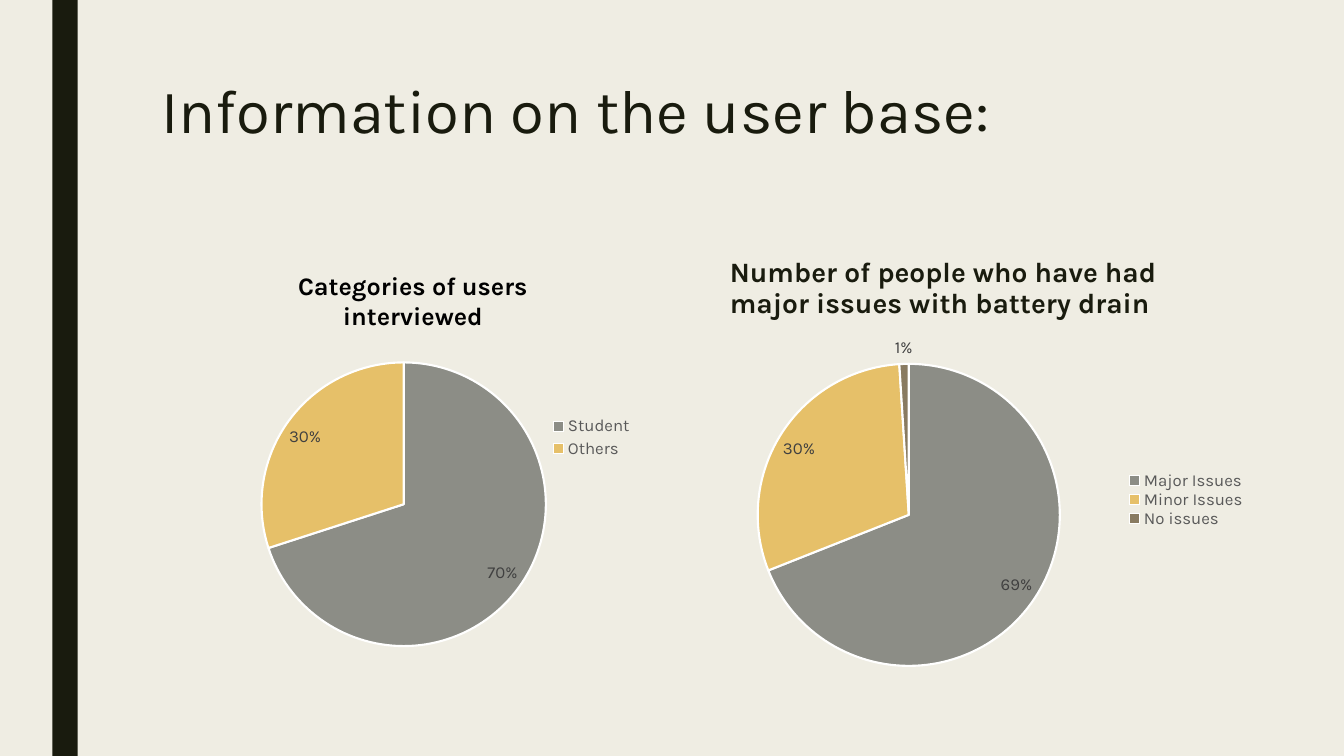
"""Build a slide with two pie charts about the interviewed users."""
from pptx import Presentation
from pptx import util as u
from pptx.chart import data
from pptx.dml import color
from pptx.enum import chart as ec, shapes, text
from pptx.oxml import ns, parse_xml

FONT, DARK, GREY = "Karla", "191B0E", "595959"
SLICES = ["8C8D86", "E6C069", "897B61"]


def rgb(code):
    return color.RGBColor.from_string(code)


def style(font, size, code, bold=False):
    font.name, font.size, font.bold = FONT, u.Pt(size), bold
    font.color.rgb = rgb(code)


def place(area, box, inner=False):
    for old in area.findall(ns.qn("c:layout")):
        area.remove(old)
    target = '<c:layoutTarget val="inner"/>' if inner else ""
    modes = "".join(f'<c:{k}Mode val="edge"/>' for k in "xy")
    sizes = "".join(f'<c:{k} val="{v}"/>' for k, v in zip("xywh", box))
    node = parse_xml(f'<c:layout {ns.nsdecls("c")}><c:manualLayout>{target}'
                     f'{modes}{sizes}</c:manualLayout></c:layout>')
    if inner:
        area.insert(0, node)
    else:
        area.find(ns.qn("c:legendPos")).addnext(node)


class Deck:
    def __init__(self, back):
        self.prs = Presentation()
        self.prs.slide_width, self.prs.slide_height = u.Inches(13.33), u.Inches(7.5)
        self.slide = self.prs.slides.add_slide(self.prs.slide_layouts[6])
        fill = self.slide.background.fill
        fill.solid()
        fill.fore_color.rgb = rgb(back)

    def bar(self, box, code):
        shape = self.slide.shapes.add_shape(
            shapes.MSO_SHAPE.RECTANGLE, *map(u.Inches, box))
        shape.shadow.inherit = False
        shape.fill.solid()
        shape.fill.fore_color.rgb = rgb(code)
        shape.line.fill.background()

    def text(self, box, words, size, space, before=0, bold=False):
        frame = self.slide.shapes.add_textbox(*map(u.Inches, box)).text_frame
        frame.word_wrap = True
        frame.vertical_anchor = text.MSO_ANCHOR.TOP
        para = frame.paragraphs[0]
        para.line_spacing, para.space_before = space, u.Pt(before)
        run = para.add_run()
        run.text = words
        style(run.font, size, DARK, bold)

    def pie(self, box, shares, plot, legend, title=None):
        table = data.CategoryChartData(number_format="0")
        table.categories = list(shares)
        table.add_series("Series 1", list(shares.values()))
        chart = self.slide.shapes.add_chart(
            ec.XL_CHART_TYPE.PIE, *map(u.Inches, box), table).chart
        style(chart.font, 10, "000000")
        clear = parse_xml(f'<c:spPr {ns.nsdecls("c", "a")}><a:noFill/>'
                          '<a:ln><a:noFill/></a:ln></c:spPr>')
        root = chart.element
        root.find(ns.qn("c:txPr")).addprevious(clear)
        chart.has_title = title is not None
        if title:
            run = chart.chart_title.text_frame.paragraphs[0].add_run()
            run.text = title
            style(run.font, 18, "000000", True)
            chart.chart_title.include_in_layout = False
        chart.has_legend = True
        chart.legend.position = ec.XL_LEGEND_POSITION.RIGHT
        chart.legend.include_in_layout = False
        style(chart.legend.font, 12, GREY)
        pies = chart.plots[0]
        pies.vary_by_categories = True
        for spot, code in enumerate(SLICES[:len(shares)]):
            form = pies.series[0].points[spot].format
            form.fill.solid()
            form.fill.fore_color.rgb = rgb(code)
            form.line.color.rgb = rgb("FFFFFF")
            form.line.width = u.Pt(1.5)
        pies.has_data_labels = True
        tags = pies.data_labels
        tags.show_percentage, tags.show_value = True, False
        tags.number_format, tags.number_format_is_linked = "0%", False
        tags.position = ec.XL_LABEL_POSITION.BEST_FIT
        style(tags.font, 12, "404040")
        place(root.find(".//" + ns.qn("c:plotArea")), plot, inner=True)
        place(root.find(".//" + ns.qn("c:legend")), legend)


deck = Deck("EFEDE3")
deck.bar((0.52, 0, 0.25, 7.5), DARK)
deck.text((1.5, 0.75, 10.5, 1.62), "Information on the user base:", 44, 0.89)
deck.pie((1.82, 2.5, 4.55, 3.92), {"Student": 70, "Others": 30},
         (0.17, 0.28, 0.62, 0.72), (0.79, 0.41, 0.2, 0.12),
         "Categories of users interviewed")
deck.text((7.14, 2.5, 4.86, 3.92),
          "Number of people who have had major issues with battery drain",
          20, 0.94, 10, True)
deck.pie((6.97, 3.22, 5.45, 3.53),
         {"Major Issues": 69, "Minor Issues": 30, "No issues": 1},
         (0.1, 0.11, 0.55, 0.85), (0.77, 0.41, 0.22, 0.16))
deck.prs.save("out.pptx")
